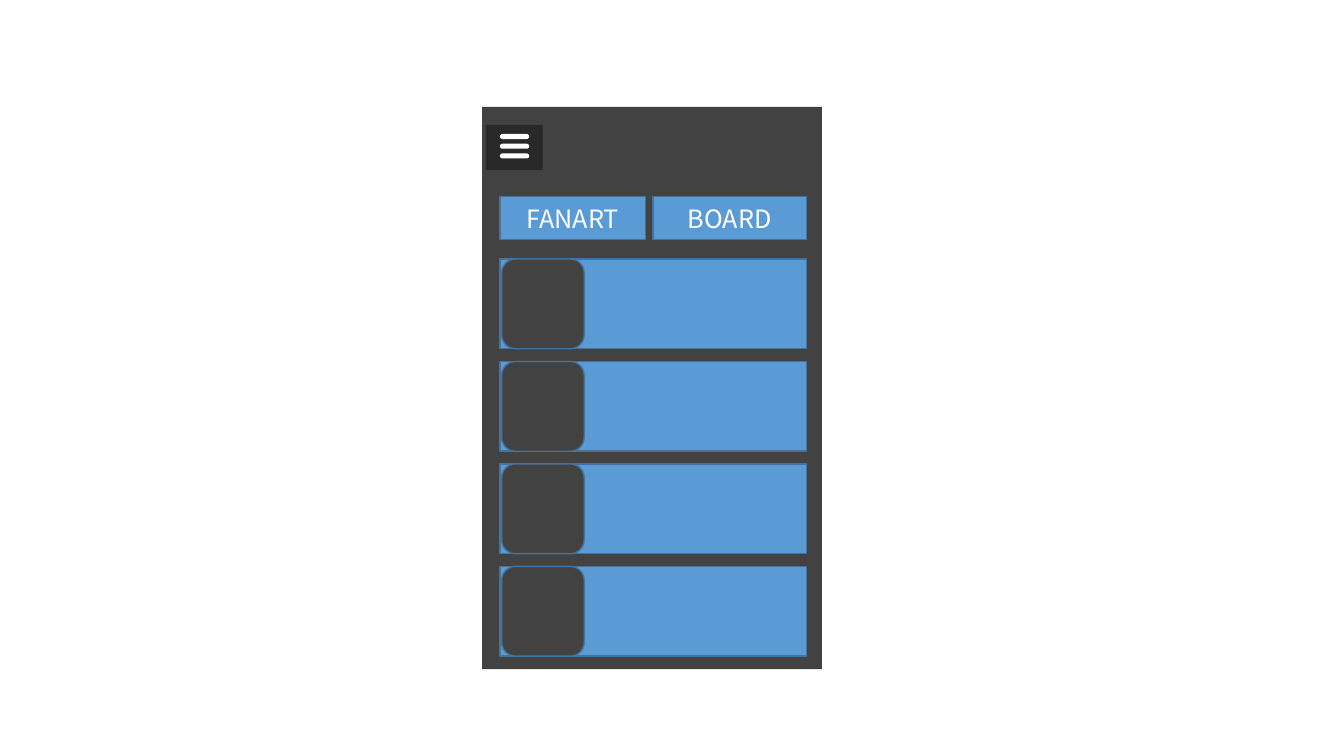
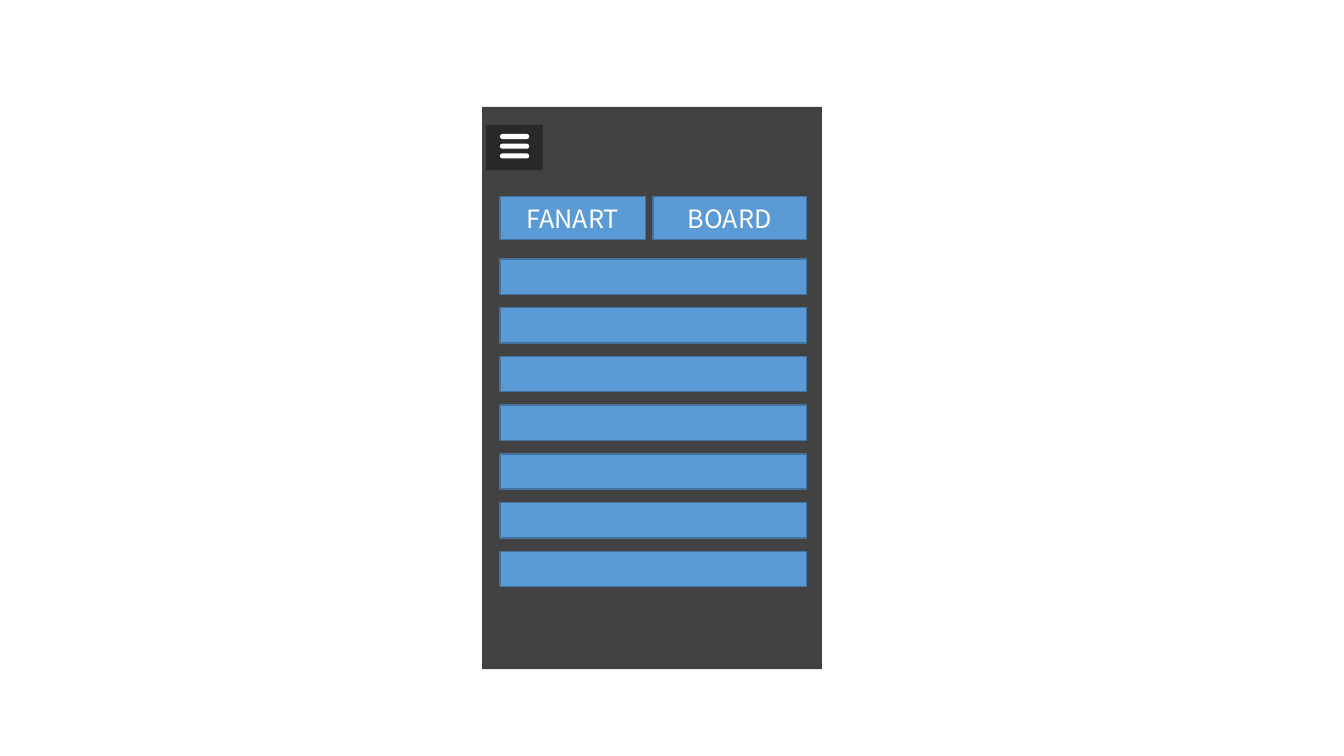
from lxml.etree import SubElement
from pptx import Presentation
from pptx.dml.color import RGBColor
from pptx.enum.shapes import MSO_SHAPE
from pptx.enum.text import MSO_ANCHOR, PP_ALIGN
from pptx.oxml.ns import qn
from pptx.util import Pt

PANEL = "424242"
ACCENT = "5B9BD5"
OUTLINE = "43739E"
WHITE = "FFFFFF"
MENU = "0D0D0D"
FONT = "Noto Sans CJK KR"

CONTENT_LEFT = 357.1
CONTENT_WIDTH = 218.9
LIST_TOP = 185


def color(value):
    """Turn a hex string into a colour."""
    return RGBColor.from_string(value)


class Wireframe:
    """Phone screen mock-ups sharing one style."""

    def __init__(self):
        self.deck = Presentation()
        self.deck.slide_width = Pt(960)
        self.deck.slide_height = Pt(540)
        self.slide = None

    def box(self, left, top, width, height, fill=ACCENT, outline=OUTLINE,
            kind=MSO_SHAPE.RECTANGLE, parent=None):
        """Add a filled shape to the slide or to a group."""
        shapes = (parent or self.slide).shapes
        box = shapes.add_shape(kind, Pt(left), Pt(top), Pt(width), Pt(height))
        box.shadow.inherit = False
        box.fill.solid()
        box.fill.fore_color.rgb = color(fill)
        if outline:
            box.line.color.rgb = color(outline)
            box.line.width = Pt(1)
        else:
            box.line.fill.background()
        return box

    def tab(self, text, left, width):
        """Add a labelled tab above the list."""
        box = self.box(left, 140.4, width, 30.6)
        frame = box.text_frame
        frame.text = text
        frame.vertical_anchor = MSO_ANCHOR.MIDDLE
        para = frame.paragraphs[0]
        para.alignment = PP_ALIGN.CENTER
        span = para.runs[0]
        span.font.name = FONT
        span.font.size = Pt(18)
        span.font.color.rgb = color(WHITE)

    def menu_button(self):
        """Add the grouped menu button with its three bars."""
        group = self.slide.shapes.add_group_shape()
        button = self.box(347.1, 89.2, 40.6, 32.4, MENU, None, parent=group)
        fill_color = button.fill._xPr.find(qn("a:solidFill"))[0]
        SubElement(fill_color, qn("a:alpha"), val="47000")
        for index in range(3):
            bar = self.box(CONTENT_LEFT, 95.7 + index * 6.95, 20.9, 3.6, WHITE,
                           None, MSO_SHAPE.ROUNDED_RECTANGLE, group)
            bar.adjustments[0] = 0.5

    def screen(self):
        """Start a slide with the phone panel, menu button and tabs."""
        self.slide = self.deck.slides.add_slide(self.deck.slide_layouts[6])
        self.box(344.5, 76.4, 242.7, 401.6, PANEL, None)
        self.menu_button()
        self.tab("FANART", CONTENT_LEFT, 103.9)
        self.tab("BOARD", 466.5, 109.5)

    def rows(self, count, height, step):
        """Add evenly spaced list rows and return their tops."""
        tops = [LIST_TOP + index * step for index in range(count)]
        for top in tops:
            self.box(CONTENT_LEFT, top, CONTENT_WIDTH, height)
        return tops

    def thumbnails(self, tops, height):
        """Add a rounded thumbnail at the start of each row."""
        for top in tops:
            self.box(358.3, top, 59, height, PANEL,
                     kind=MSO_SHAPE.ROUNDED_RECTANGLE)


def main():
    """Build the fan art and board screens."""
    wireframe = Wireframe()

    wireframe.screen()
    row_height = 64.1
    tops = wireframe.rows(4, row_height, 73.2)
    wireframe.thumbnails(tops, row_height)

    wireframe.screen()
    wireframe.rows(7, 25.2, 34.8)

    wireframe.deck.save("out.pptx")


if __name__ == "__main__":
    main()
